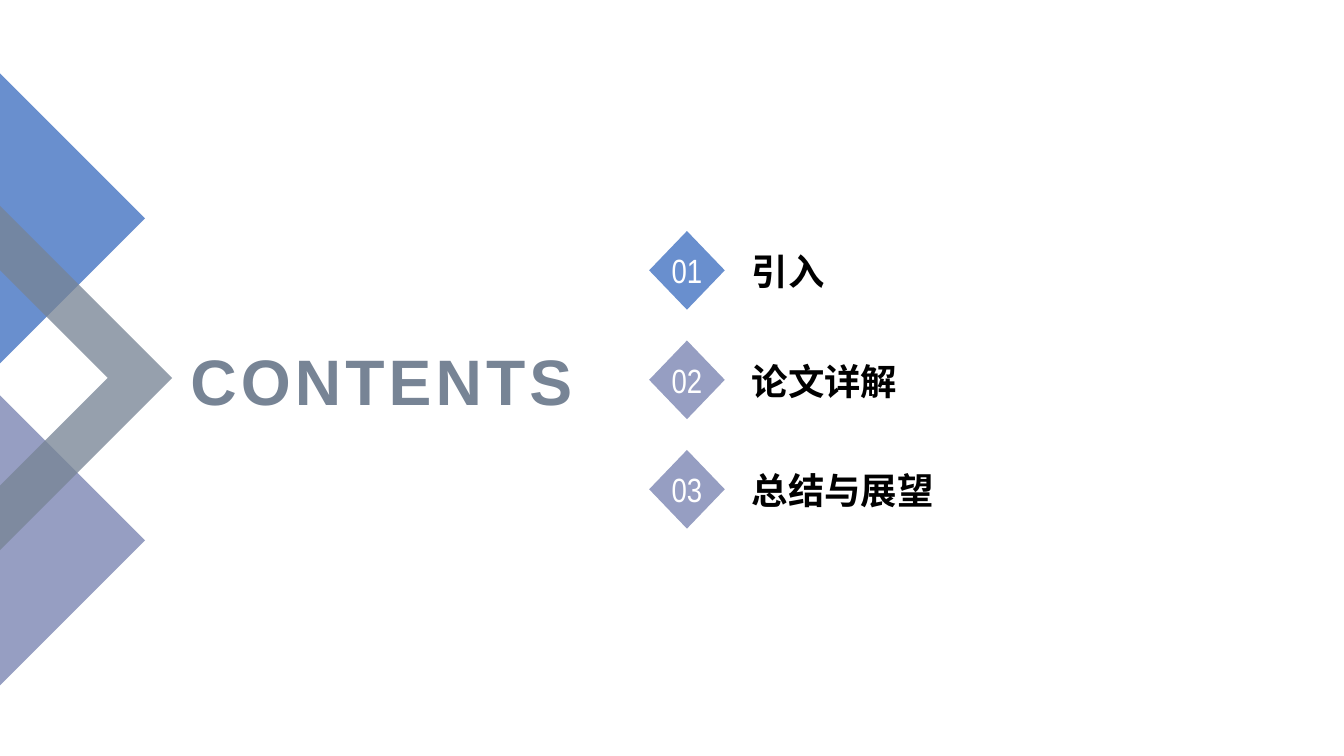
from pptx import Presentation
from pptx.dml.color import RGBColor
from pptx.enum.shapes import MSO_SHAPE
from pptx.enum.text import MSO_ANCHOR, PP_ALIGN
from pptx.oxml.ns import qn
from pptx.util import Pt
from lxml.etree import SubElement


class ContentsPage:
    colours = {
        "blue": "698FCE",
        "lilac": "969EC2",
        "slate": "778495",
        "white": "FFFFFF",
        "black": "000000",
    }
    formats = {
        "title": {"name": "Arial", "size": Pt(45.9), "bold": True},
        "number": {"name": "Arial Narrow", "size": Pt(24), "bold": False},
        "label": {"name": "Arial", "size": Pt(26), "bold": True},
    }

    def __init__(self, deck):
        self.page = deck.slides.add_slide(deck.slide_layouts[6])

    def colour(self, name):
        return RGBColor.from_string(self.colours[name])

    def paint(self, shape, colour):
        shape.shadow.inherit = False
        shape.fill.solid()
        shape.fill.fore_color.rgb = self.colour(colour)
        shape.line.fill.background()

    def set_text(self, shape, text, style, colour, align, anchor, wrap=True):
        frame = shape.text_frame
        frame.word_wrap = wrap
        frame.vertical_anchor = anchor
        para = frame.paragraphs[0]
        para.alignment = align
        span = para.add_run()
        span.text = text
        for attribute, value in self.formats[style].items():
            setattr(span.font, attribute, value)
        span.font.color.rgb = self.colour(colour)

    def polygon(self, points, colour, opacity=100):
        corners = [(Pt(x), Pt(y)) for x, y in points]
        builder = self.page.shapes.build_freeform(*corners[0])
        builder.add_line_segments(corners[1:], close=True)
        shape = builder.convert_to_shape()
        self.paint(shape, colour)
        if opacity < 100:
            for tint in shape.element.xpath("./p:spPr/a:solidFill/a:srgbClr"):
                SubElement(tint, qn("a:alpha")).set("val", str(opacity * 1000))

    def diamond(self, left, top, width, height, colour, number):
        shape = self.page.shapes.add_shape(
            MSO_SHAPE.DIAMOND, Pt(left), Pt(top), Pt(width), Pt(height))
        self.paint(shape, colour)
        self.set_text(shape, number, "number", "white",
                      PP_ALIGN.CENTER, MSO_ANCHOR.MIDDLE, wrap=False)

    def text(self, left, top, width, height, text, style, colour,
             align=PP_ALIGN.LEFT, anchor=MSO_ANCHOR.BOTTOM, spacing=0):
        box = self.page.shapes.add_textbox(Pt(left), Pt(top), Pt(width), Pt(height))
        self.set_text(box, text, style, colour, align, anchor)
        if spacing:
            for properties in box.element.xpath(".//a:rPr"):
                properties.set("spc", str(spacing * 100))


def main():
    deck = Presentation()
    deck.slide_width, deck.slide_height = Pt(960), Pt(540)
    contents = ContentsPage(deck)

    reach = 103.6
    for middle, colour in ((386, "lilac"), (156, "blue")):
        contents.polygon(
            [(0, middle - reach), (reach, middle), (0, middle + reach)], colour)

    tip, notch, middle = 123, 77, 270
    contents.polygon(
        [(tip, middle), (0, middle + tip), (0, middle + notch),
         (notch, middle), (0, middle - notch), (0, middle - tip)],
        "slate", opacity=77)

    contents.text(121.7, 234.7, 294.5, 72.7, "CONTENTS", "title", "slate",
                  PP_ALIGN.RIGHT, MSO_ANCHOR.MIDDLE, spacing=3)

    sections = (("引入", "blue"), ("论文详解", "lilac"), ("总结与展望", "lilac"))
    for index, (label, colour) in enumerate(sections):
        top = 165 + index * 78.2
        contents.diamond(463.7, top, 54, 56.2, colour, f"{index + 1:02}")
        contents.text(529.9, top + 7.5, 354.2, 40.3, label, "label", "black")

    deck.save("out.pptx")


if __name__ == "__main__":
    main()
